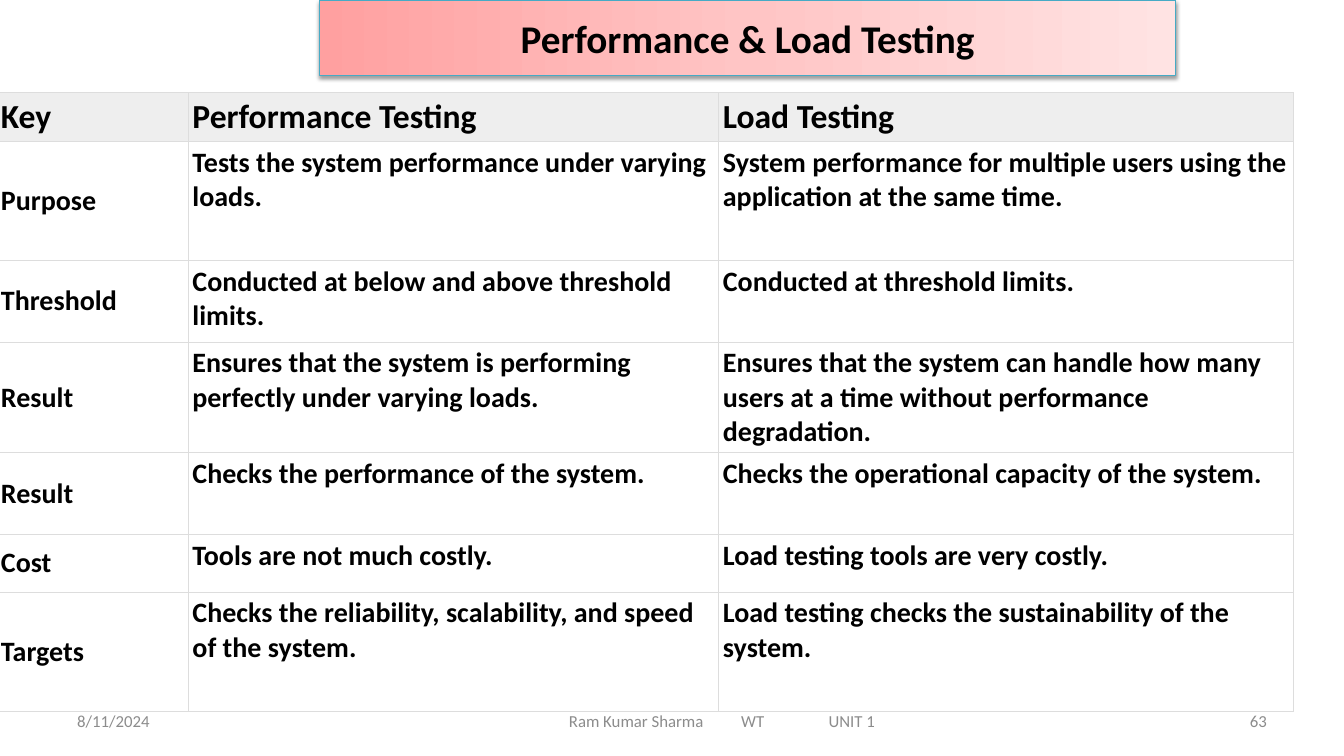
from copy import deepcopy
from dataclasses import dataclass

from lxml.etree import SubElement
from pptx import Presentation
from pptx.dml.color import RGBColor
from pptx.enum.text import MSO_ANCHOR, PP_ALIGN
from pptx.oxml.ns import qn
from pptx.util import Pt


@dataclass(frozen=True)
class Theme:
    font: str = "Calibri"
    ink: str = "000000"
    muted: str = "8C8C8C"
    header_fill: str = "EEEEEE"
    body_fill: str = "FFFFFF"
    grid: str = "DDDDDD"
    banner_line: str = "46AAC5"
    banner_stops: tuple = ((0, "FFA0A0"), (0.5, "FFC5C5"), (1, "FFE3E3"))
    title_size: int = 28
    header_size: int = 24
    body_size: int = 20
    footer_size: int = 12


def rgb(code):
    return RGBColor.from_string(code)


def write(frame, text, *, font, size, color, bold=False,
          align=PP_ALIGN.LEFT, anchor=MSO_ANCHOR.MIDDLE):
    frame.word_wrap = True
    frame.vertical_anchor = anchor
    paragraph = frame.paragraphs[0]
    paragraph.alignment = align
    run = paragraph.add_run()
    run.text = text
    run.font.name = font
    run.font.size = Pt(size)
    run.font.bold = bold
    run.font.color.rgb = rgb(color)
    return paragraph


class SlideBuilder:
    def __init__(self, slide, theme):
        self.slide = slide
        self.theme = theme

    def banner(self, text, left, top, width, height):
        theme = self.theme
        title = self.slide.shapes.title
        title.left, title.top = Pt(left), Pt(top)
        title.width, title.height = Pt(width), Pt(height)
        title.fill.gradient()
        title.fill.gradient_angle = 0
        properties = title._element.spPr
        stops = properties.find(".//" + qn("a:gsLst"))
        stops.append(deepcopy(stops[-1]))
        for stop, (position, color) in zip(title.fill.gradient_stops, theme.banner_stops):
            stop.position = position
            stop.color.rgb = rgb(color)
        title.line.color.rgb = rgb(theme.banner_line)
        title.line.width = Pt(0.75)
        effects = SubElement(properties, qn("a:effectLst"))
        shadow = SubElement(effects, qn("a:outerShdw"), blurRad=str(Pt(3.1)),
                            dist=str(Pt(1.6)), dir="5400000", rotWithShape="0")
        shade = SubElement(shadow, qn("a:srgbClr"), val=theme.ink)
        SubElement(shade, qn("a:alpha"), val="38000")
        write(title.text_frame, text, font=theme.font, size=theme.title_size,
              color=theme.ink, bold=True, align=PP_ALIGN.CENTER)

    def footer(self, text, left, width, align=PP_ALIGN.LEFT, inset=7.2, tabs=()):
        theme = self.theme
        box = self.slide.shapes.add_textbox(Pt(left), Pt(500.4), Pt(width), Pt(28.8))
        box.text_frame.margin_left = Pt(inset)
        paragraph = write(box.text_frame, text, font=theme.font,
                          size=theme.footer_size, color=theme.muted, align=align)
        if tabs:
            stops = SubElement(paragraph._p.get_or_add_pPr(), qn("a:tabLst"))
            for tab in tabs:
                SubElement(stops, qn("a:tab"), pos=str(Pt(tab)), algn="l")

    def cell(self, cell, text, is_header, is_key):
        theme = self.theme
        cell.margin_left = cell.margin_right = Pt(2.9)
        cell.margin_top = cell.margin_bottom = Pt(2.9)
        properties = cell._tc.get_or_add_tcPr()
        for side in ("a:lnL", "a:lnR", "a:lnT", "a:lnB"):
            border = SubElement(properties, qn(side), w=str(Pt(0.6)))
            solid = SubElement(border, qn("a:solidFill"))
            SubElement(solid, qn("a:srgbClr"), val=theme.grid)
        cell.fill.solid()
        cell.fill.fore_color.rgb = rgb(theme.header_fill if is_header else theme.body_fill)
        anchor = MSO_ANCHOR.MIDDLE if is_header or is_key else MSO_ANCHOR.TOP
        write(cell.text_frame, text, font=theme.font, color=theme.ink, bold=True,
              size=theme.header_size if is_header else theme.body_size)
        cell.vertical_anchor = anchor

    def table(self, rows, left, top, widths, heights):
        table = self.slide.shapes.add_table(
            len(rows), len(widths), Pt(left), Pt(top),
            Pt(sum(widths)), Pt(sum(heights))).table
        table.first_row = table.horz_banding = False
        for column, width in zip(table.columns, widths):
            column.width = Pt(width)
        for r, (row, height) in enumerate(zip(rows, heights)):
            table.rows[r].height = Pt(height)
            for c, text in enumerate(row):
                self.cell(table.cell(r, c), text, r == 0, c == 0)


COMPARISON = [
    ("Key", "Performance Testing", "Load Testing"),
    ("Purpose", "Tests the system performance under varying loads.",
     "System performance for multiple users using the application at the same time."),
    ("Threshold", "Conducted at below and above threshold limits.",
     "Conducted at threshold limits."),
    ("Result", "Ensures that the system is performing perfectly under varying loads.",
     "Ensures that the system can handle how many users at a time "
     "without performance degradation."),
    ("Result", "Checks the performance of the system.",
     "Checks the operational capacity of the system."),
    ("Cost", "Tools are not much costly.", "Load testing tools are very costly."),
    ("Targets", "Checks the reliability, scalability, and speed of the system.",
     "Load testing checks the sustainability of the system."),
]


def main():
    deck = Presentation()
    deck.slide_width, deck.slide_height = Pt(960), Pt(540)
    builder = SlideBuilder(deck.slides.add_slide(deck.slide_layouts[5]), Theme())
    builder.footer("8/11/2024", 48, 224)
    builder.footer("Ram Kumar Sharma\tWT\tUNIT 1", 318, 396, inset=88.4, tabs=(123, 185.5))
    builder.footer("63", 688, 224, align=PP_ALIGN.RIGHT)
    builder.banner("Performance & Load Testing", 228, 0, 612, 54)
    builder.table(COMPARISON, -2.2, 66.2, (136.8, 378.9, 410.4),
                  (34.8, 85, 58.5, 79, 58.5, 41, 85))
    deck.save("out.pptx")


if __name__ == "__main__":
    main()
